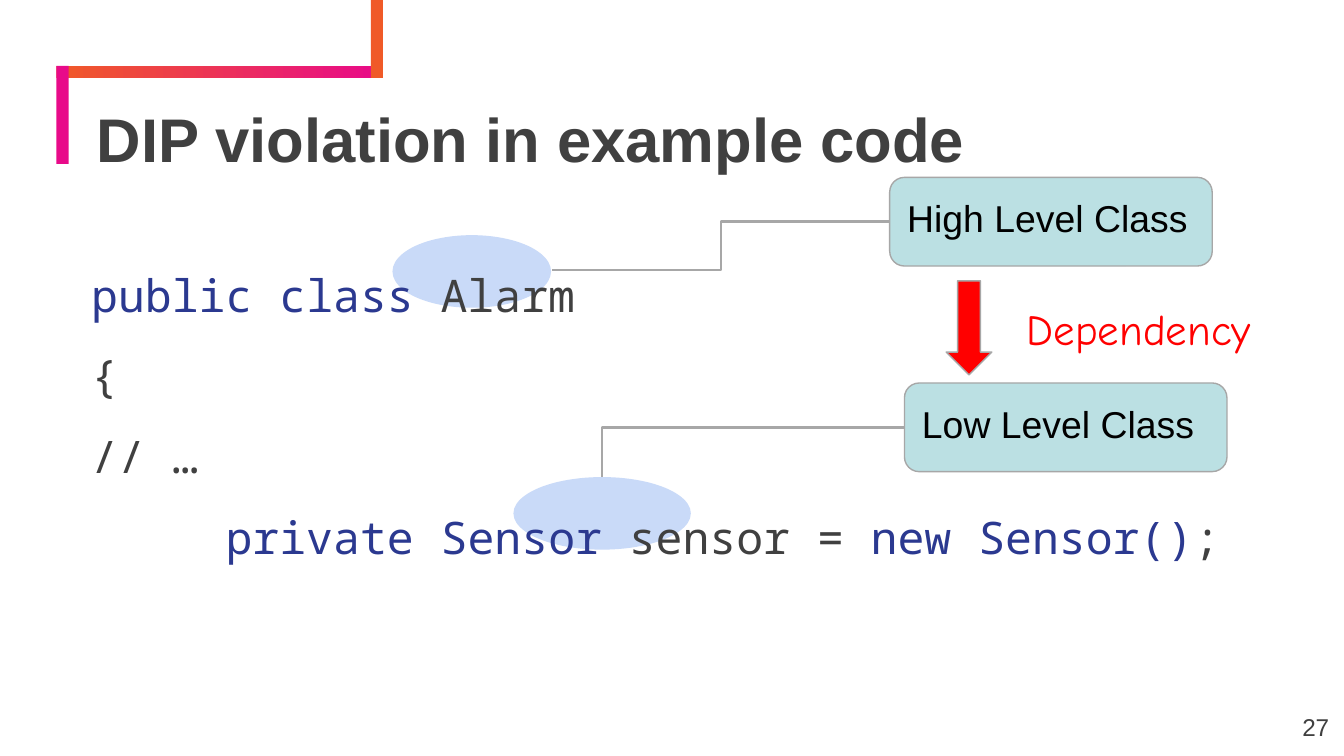
from lxml import etree
from pptx import Presentation
from pptx.dml.color import RGBColor
from pptx.enum import shapes, text
from pptx.oxml import ns
from pptx.util import Inches, Pt

GREY, NAVY, RED, BLACK = "404040", "2B3990", "FF0000", "000000"
ORANGE, PINK = "F05A28", "E80A89"
HIGHLIGHT, CLASS_FILL, OUTLINE = "C9DAF8", "BBE0E3", "A7A7A7"
KINDS = shapes.MSO_SHAPE

CODE_LINES = [
    [("public class ", NAVY), ("Alarm", GREY)],
    [("{", GREY)],
    [("// …", GREY)],
    [("\t", GREY), ("private Sensor", NAVY), (" sensor = ", GREY),
     ("new Sensor()", NAVY), (";", GREY)],
]


def color(value):
    return RGBColor.from_string(value)


def add_shape(page, kind, left, top, width, height, fill, outline=None):
    shape = page.shapes.add_shape(
        kind, Inches(left), Inches(top), Inches(width), Inches(height))
    shape.shadow.inherit = False
    shape.fill.solid()
    shape.fill.fore_color.rgb = color(fill)
    if outline:
        shape.line.color.rgb = color(outline)
        shape.line.width = Pt(0.75)
    else:
        shape.line.fill.background()
    return shape


def set_tab(para, position):
    stops = etree.SubElement(para._p.get_or_add_pPr(), ns.qn("a:tabLst"))
    etree.SubElement(stops, ns.qn("a:tab"), pos=str(Inches(position)), algn="l")


def write(shape, lines, size, font="Arial", bold=False, spacing=1.0,
          align=text.PP_ALIGN.LEFT, anchor=text.MSO_ANCHOR.TOP,
          insets=(0.1, 0.1), tab=None):
    """Fill a shape with lines, each a list of (words, colour) pairs."""
    frame = shape.text_frame
    frame.word_wrap = True
    frame.vertical_anchor = anchor
    frame.margin_left = frame.margin_right = Inches(insets[0])
    frame.margin_top = frame.margin_bottom = Inches(insets[1])
    for number, line in enumerate(lines):
        para = frame.add_paragraph() if number else frame.paragraphs[0]
        para.alignment = align
        para.line_spacing = spacing
        if tab:
            set_tab(para, tab)
        for words, tint in line:
            span = para.add_run()
            span.text = words
            span.font.name = font
            span.font.size = Pt(size)
            span.font.bold = bold
            span.font.color.rgb = color(tint)


def add_text(page, left, top, width, height, lines, **style):
    box = page.shapes.add_textbox(
        Inches(left), Inches(top), Inches(width), Inches(height))
    write(box, lines, **style)


def add_class_box(page, left, top, label):
    box = add_shape(page, KINDS.ROUNDED_RECTANGLE, left, top, 2.4, 0.66,
                    CLASS_FILL, OUTLINE)
    write(box, [[(label, BLACK)]], size=20)
    return box


def add_elbow(page, box, end_x, end_y):
    """Run an elbow line from the left side of a box to a point."""
    line = page.shapes.add_connector(
        shapes.MSO_CONNECTOR.ELBOW, box.left, box.top + box.height // 2,
        Inches(end_x), Inches(end_y))
    line.begin_connect(box, 1)
    line.line.color.rgb = color(OUTLINE)
    line.line.width = Pt(1.5)
    etree.SubElement(line._element.spPr, ns.qn("a:effectLst"))
    return line


def add_corner_bars(page):
    across = add_shape(page, KINDS.RECTANGLE, 0.42, 0.49, 2.43, 0.09, ORANGE)
    across.fill.gradient()
    across.fill.gradient_angle = 0
    for stop, tint in zip(across.fill.gradient_stops, (ORANGE, PINK)):
        stop.color.rgb = color(tint)
    add_shape(page, KINDS.RECTANGLE, 0.42, 0.49, 0.09, 0.73, PINK)
    add_shape(page, KINDS.RECTANGLE, 2.76, 0, 0.09, 0.58, ORANGE)


def main():
    deck = Presentation()
    deck.slide_width = Inches(10)
    deck.slide_height = deck.slide_width * 9 // 16
    page = deck.slides.add_slide(deck.slide_layouts[6])

    add_corner_bars(page)
    add_text(page, 9.36, 5.19, 0.6, 0.43, [[("27", GREY)]], size=13,
             align=text.PP_ALIGN.RIGHT, anchor=text.MSO_ANCHOR.MIDDLE,
             insets=(0.07, 0.1))
    add_text(page, 0.67, 1.01, 9.02, 0.34,
             [[("DIP violation in example code", GREY)]], size=33, bold=True,
             spacing=0.9, anchor=text.MSO_ANCHOR.BOTTOM, insets=(0.05, 0.04))

    sensor_mark = add_shape(page, KINDS.OVAL, 3.82, 3.55, 1.32, 0.54, HIGHLIGHT)
    add_shape(page, KINDS.OVAL, 2.92, 1.75, 1.18, 0.54, HIGHLIGHT)
    add_text(page, 0.58, 1.69, 9.02, 1.01, CODE_LINES, size=24,
             font="Noto Sans Mono", spacing=1.5, tab=1)

    high = add_class_box(page, 6.62, 1.32, "High Level Class")
    add_elbow(page, high, 4.11, 2.01)
    low = add_class_box(page, 6.73, 2.85, "Low Level Class")
    to_sensor = add_elbow(page, low, 4.48, 3.55)
    to_sensor.end_connect(sensor_mark, 0)
    # A single-corner elbow: left from the box, then down to the mark
    to_sensor._element.spPr.find(ns.qn("a:prstGeom")).set("prst", "bentConnector2")

    add_shape(page, KINDS.DOWN_ARROW, 7.04, 2.09, 0.34, 0.7, RED, OUTLINE)
    add_text(page, 7.54, 2.15, 1.92, 0.59, [[("Dependency", RED)]], size=23,
             font="Comic Neue")

    deck.save("out.pptx")


if __name__ == "__main__":
    main()
